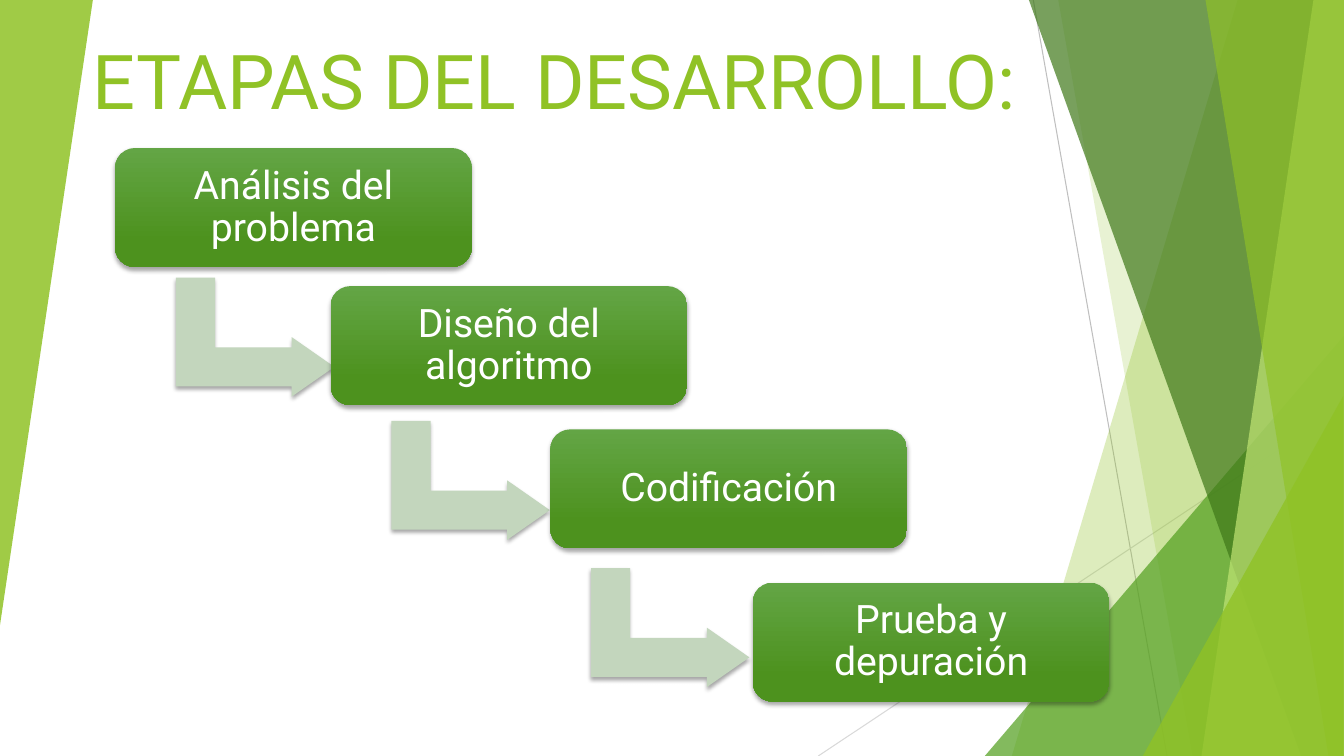
"""Build a slide with the four stages of program development as a staircase."""
from lxml.etree import SubElement
from pptx import Presentation
from pptx.dml.color import RGBColor
from pptx.enum.shapes import MSO_CONNECTOR, MSO_SHAPE
from pptx.enum.text import MSO_ANCHOR, MSO_AUTO_SIZE, PP_ALIGN
from pptx.oxml.ns import qn
from pptx.util import Cm, Pt

WIDTH, HEIGHT = 33.87, 19.05
TITLE = "ETAPAS DEL DESARROLLO:"
TITLE_AREA = (2.08, 0, 23.88, 3.99)
STAGES = [
    ("Análisis del problema", 2.9, 3.73),
    ("Diseño del algoritmo", 8.33, 7.21),
    ("Codificación", 13.87, 10.82),
    ("Prueba y depuración", 18.97, 14.68),
]
STAGE_SIZE = (8.99, 3)
ARROWS = [(4.93, 6.5), (10.36, 10.11), (15.39, 13.82)]
ARROW_SIZE = (3, 3.99)
ARROW_SHAPE = (0.328, 0.25, 0.358)
RAYS = [
    ((26.04, 0, 29.41, HEIGHT), "BFBFBF"),
    ((WIDTH, 10.24, 20.62, HEIGHT), "D9D9D9"),
]
FACETS = [
    ("band", (31.19, 25.5), "90C226", 30),
    ("band", (26.67, 30.05), "90C226", 20),
    ("wedge", (24.82, 8.46, 9.05, 10.59, 0), "54A021", 72),
    ("band", (25.93, 32.79), "3F7819", 70),
    ("band", (33.1, 30.28), "C0E474", 70),
    ("band", (30.38, 33.48), "90C226", 65),
    ("wedge", (28.8, 9.98, 5.05, 9.07, 0), "90C226", 80),
    ("wedge", (0, 0, 2.34, 15.75, 180), "90C226", 85),
]
GRADIENT = [(0, "63A545"), (0.78, "4D921E")]
TITLE_FRAME = {"word_wrap": True, "auto_size": MSO_AUTO_SIZE.NONE,
               "vertical_anchor": MSO_ANCHOR.MIDDLE}
STAGE_FRAME = {"word_wrap": True, "vertical_anchor": MSO_ANCHOR.MIDDLE,
               "margin_left": Cm(0.3), "margin_right": Cm(0.3),
               "margin_top": Cm(0.3), "margin_bottom": Cm(0.3)}
TITLE_PARA = {"alignment": PP_ALIGN.LEFT}
STAGE_PARA = {"alignment": PP_ALIGN.CENTER, "line_spacing": 0.9,
              "space_after": Pt(9.8)}


def color(hex_text):
    return RGBColor.from_string(hex_text)


def lengths(values):
    return [Cm(value) for value in values]


def apply(target, values):
    for name, value in values.items():
        setattr(target, name, value)


def write(shape, text, frame_format, para_format, size, hex_text):
    frame = shape.text_frame
    apply(frame, frame_format)
    para = frame.paragraphs[0]
    apply(para, para_format)
    span = para.add_run()
    span.text = text
    apply(span.font, {"name": "Roboto", "size": Pt(size), "bold": False})
    span.font.color.rgb = color(hex_text)


def paint(shape, hex_text, opacity=100):
    shape.shadow.inherit = False
    shape.line.fill.background()
    shape.fill.solid()
    shape.fill.fore_color.rgb = color(hex_text)
    if opacity < 100:
        tone = shape.element.spPr.find(".//" + qn("a:srgbClr"))
        SubElement(tone, qn("a:alpha"), val=str(opacity * 1000))


def drop_shadow(shape):
    effects = shape.element.spPr.find(qn("a:effectLst"))
    shadow = SubElement(effects, qn("a:outerShdw"), blurRad=str(Pt(3)),
                        dist=str(Pt(2)), dir="5400000", rotWithShape="0")
    tone = SubElement(shadow, qn("a:srgbClr"), val="000000")
    SubElement(tone, qn("a:alpha"), val="35000")


def add_ray(page, ends, hex_text):
    ray = page.shapes.add_connector(MSO_CONNECTOR.STRAIGHT, *lengths(ends))
    ray.line.color.rgb = color(hex_text)
    ray.line.width = Pt(0.75)
    SubElement(ray.element.spPr, qn("a:effectLst"))


def add_band(page, top, bottom):
    start, *others = [lengths(point) for point in (
        (top, 0), (WIDTH, 0), (WIDTH, HEIGHT), (bottom, HEIGHT))]
    builder = page.shapes.build_freeform(*start, scale=1.0)
    builder.add_line_segments(others, close=True)
    return builder.convert_to_shape()


def add_wedge(page, left, top, width, height, turn):
    wedge = page.shapes.add_shape(MSO_SHAPE.ISOSCELES_TRIANGLE,
                                  *lengths((left, top, width, height)))
    wedge.adjustments[0] = 1
    wedge.rotation = turn
    return wedge


def add_arrow(page, place):
    arrow = page.shapes.add_shape(MSO_SHAPE.BENT_UP_ARROW,
                                  *lengths(place + ARROW_SIZE))
    for index, value in enumerate(ARROW_SHAPE):
        arrow.adjustments[index] = value
    arrow.rotation = 90
    paint(arrow, "C3D6BD")
    drop_shadow(arrow)


def add_stage(page, text, left, top):
    box = page.shapes.add_shape(MSO_SHAPE.ROUNDED_RECTANGLE,
                                *lengths((left, top) + STAGE_SIZE))
    paint(box, GRADIENT[0][1])
    box.fill.gradient()
    box.fill.gradient_angle = 270
    for stop, (position, hex_text) in zip(box.fill.gradient_stops, GRADIENT):
        stop.position = position
        stop.color.rgb = color(hex_text)
    drop_shadow(box)
    write(box, text, STAGE_FRAME, STAGE_PARA, 28, "FFFFFF")


def main():
    deck = Presentation()
    deck.slide_width, deck.slide_height = lengths((WIDTH, HEIGHT))
    page = deck.slides.add_slide(deck.slide_layouts[0])
    title, subtitle = page.placeholders
    tree = title.element.getparent()
    tree.remove(subtitle.element)

    for ends, hex_text in RAYS:
        add_ray(page, ends, hex_text)
    makers = {"band": add_band, "wedge": add_wedge}
    for kind, numbers, hex_text, opacity in FACETS:
        paint(makers[kind](page, *numbers), hex_text, opacity)

    tree.append(title.element)
    apply(title, dict(zip(("left", "top", "width", "height"),
                          lengths(TITLE_AREA))))
    write(title, TITLE, TITLE_FRAME, TITLE_PARA, 54, "90C226")

    for place in ARROWS:
        add_arrow(page, place)
    for stage in STAGES:
        add_stage(page, *stage)
    deck.save("out.pptx")


if __name__ == "__main__":
    main()
